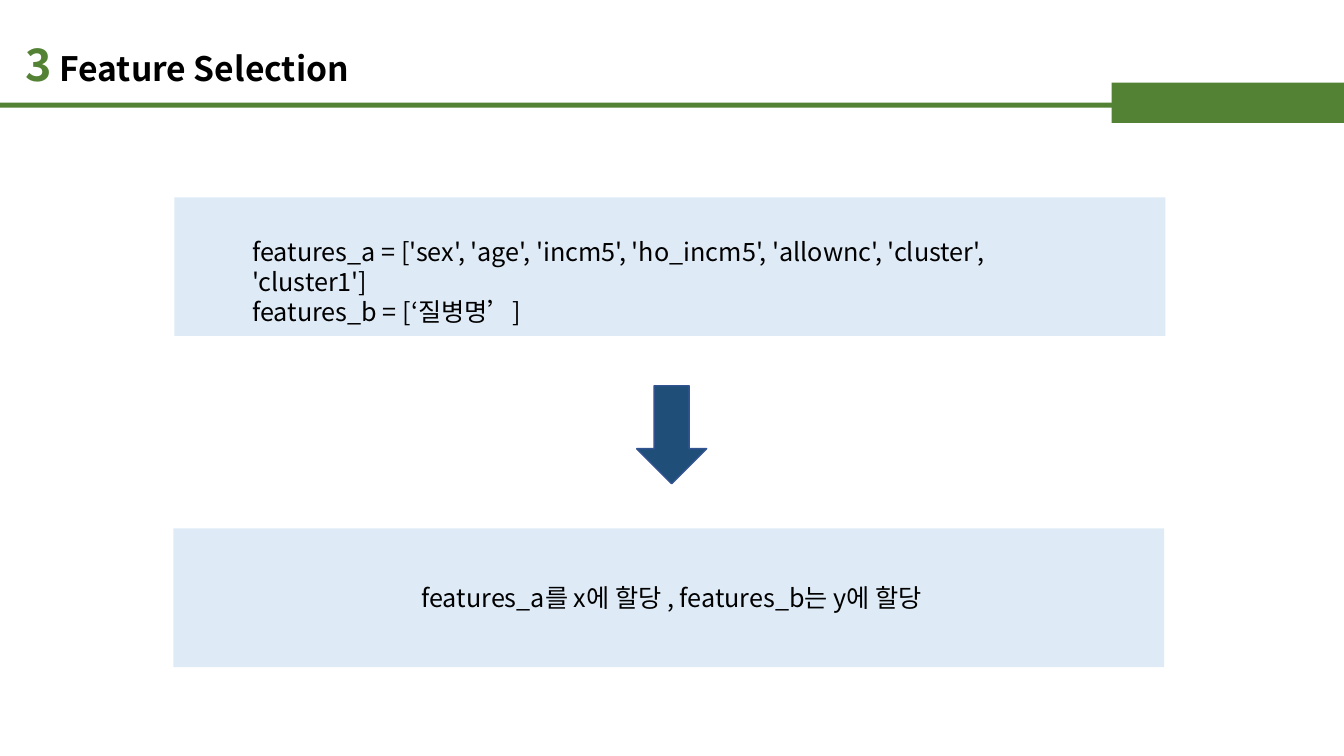
from dataclasses import dataclass

from lxml.etree import SubElement
from pptx import Presentation
from pptx.dml.color import RGBColor
from pptx.enum.shapes import MSO_SHAPE as Preset
from pptx.enum.text import PP_ALIGN as Align
from pptx.oxml.ns import qn
from pptx.slide import Slide
from pptx.util import Pt

GREEN = RGBColor(0x54, 0x82, 0x35)
PALE_BLUE = RGBColor(0xDE, 0xEB, 0xF7)
NAVY = RGBColor(0x1F, 0x4E, 0x79)
ARROW_EDGE = RGBColor(0x32, 0x54, 0x91)
BLACK = RGBColor(0, 0, 0)
FONT = "Noto Sans CJK KR"


@dataclass(frozen=True)
class Box:
    left: float
    top: float
    width: float
    height: float

    def lengths(self) -> tuple[Pt, Pt, Pt, Pt]:
        return Pt(self.left), Pt(self.top), Pt(self.width), Pt(self.height)


@dataclass(frozen=True)
class Block:
    box: Box
    fill: RGBColor
    preset: Preset = Preset.RECTANGLE
    edge: RGBColor | None = None


@dataclass(frozen=True)
class Span:
    text: str
    size: float = 18
    color: RGBColor = BLACK


@dataclass(frozen=True)
class Label:
    box: Box
    paragraphs: list[list[Span]]
    line_height: float = 21.5
    align: Align = Align.LEFT
    bold: bool = False


BLOCKS = [
    # Header rule and tab
    Block(Box(0, 73.4, 960, 3.6), GREEN),
    Block(Box(794, 59, 166, 28.8), GREEN),
    # Feature panel, arrow, assignment panel
    Block(Box(124.6, 141, 707.8, 99), PALE_BLUE),
    Block(Box(454.8, 275.5, 50, 70), NAVY, Preset.DOWN_ARROW, ARROW_EDGE),
    Block(Box(123.8, 377.5, 707.8, 99), PALE_BLUE),
]

LABELS = [
    Label(
        Box(11.2, 4.3, 480, 57.6),
        [[Span("3", 32, GREEN), Span(" ", 24, GREEN), Span("Feature Selection", 24)]],
        line_height=57,
        bold=True,
    ),
    Label(
        Box(173.2, 165, 613.4, 51),
        [
            [Span("features_a = ['sex', 'age', 'incm5', 'ho_incm5', 'allownc', 'cluster', 'cluster1']")],
            [Span("features_b = [‘질병명’]")],
        ],
    ),
    Label(
        Box(239.8, 412.6, 480, 29),
        [[Span("features_a를 x에 할당 , features_b는 y에 할당")]],
        align=Align.CENTER,
    ),
]


def draw_block(slide: Slide, block: Block) -> None:
    shape = slide.shapes.add_shape(block.preset, *block.box.lengths())
    shape.shadow.inherit = False
    shape.fill.solid()
    shape.fill.fore_color.rgb = block.fill
    if block.edge is None:
        shape.line.fill.background()
    else:
        shape.line.color.rgb = block.edge
        shape.line.width = Pt(1)


def draw_label(slide: Slide, label: Label) -> None:
    frame = slide.shapes.add_textbox(*label.box.lengths()).text_frame
    frame.word_wrap = True
    for index, spans in enumerate(label.paragraphs):
        paragraph = frame.add_paragraph() if index else frame.paragraphs[0]
        paragraph.alignment = label.align
        paragraph.line_spacing = Pt(label.line_height)
        paragraph.font.name = FONT
        paragraph.font.bold = label.bold
        # Korean letters take their typeface from a:ea
        defaults = paragraph._p.get_or_add_pPr().find(qn("a:defRPr"))
        SubElement(defaults, qn("a:ea"), typeface=FONT)
        for span in spans:
            run = paragraph.add_run()
            run.text = span.text
            run.font.size = Pt(span.size)
            run.font.color.rgb = span.color


def main() -> None:
    presentation = Presentation()
    presentation.slide_width, presentation.slide_height = Pt(960), Pt(540)
    slide = presentation.slides.add_slide(presentation.slide_layouts[6])
    for block in BLOCKS:
        draw_block(slide, block)
    for label in LABELS:
        draw_label(slide, label)
    presentation.save("out.pptx")


if __name__ == "__main__":
    main()
